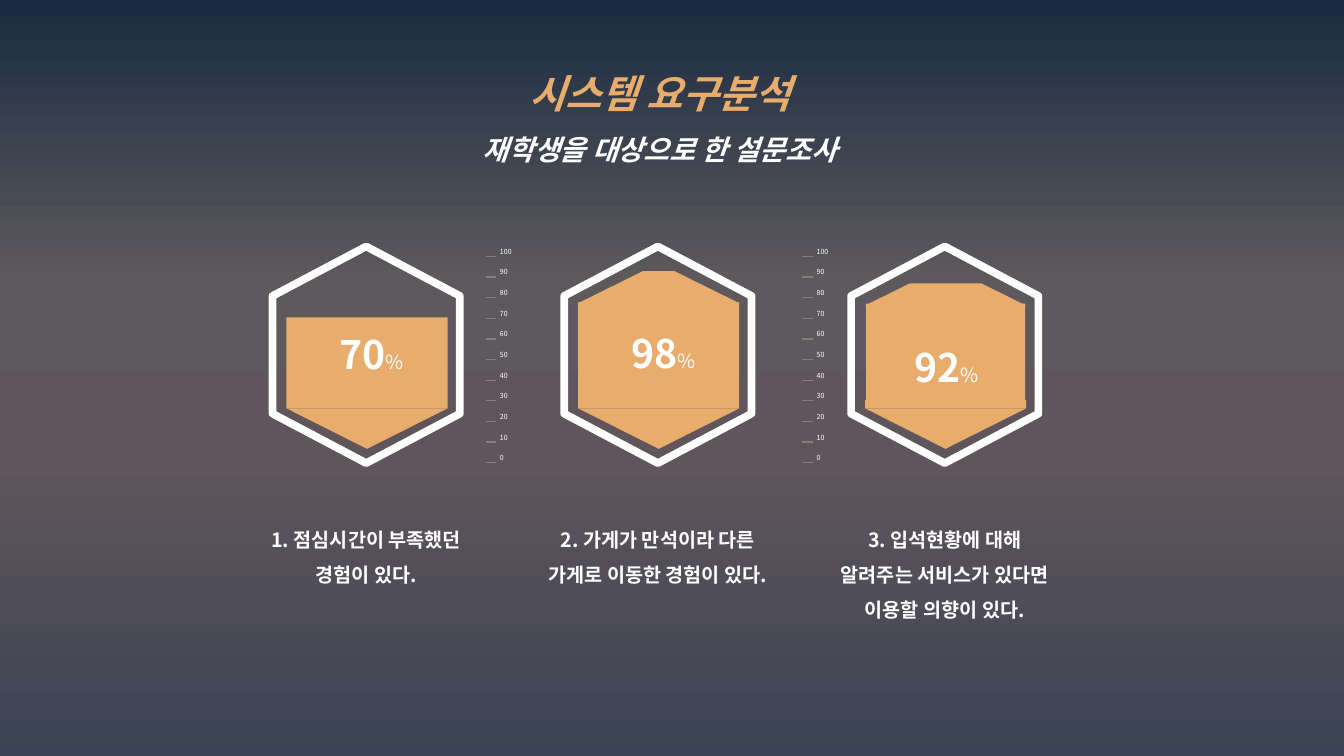
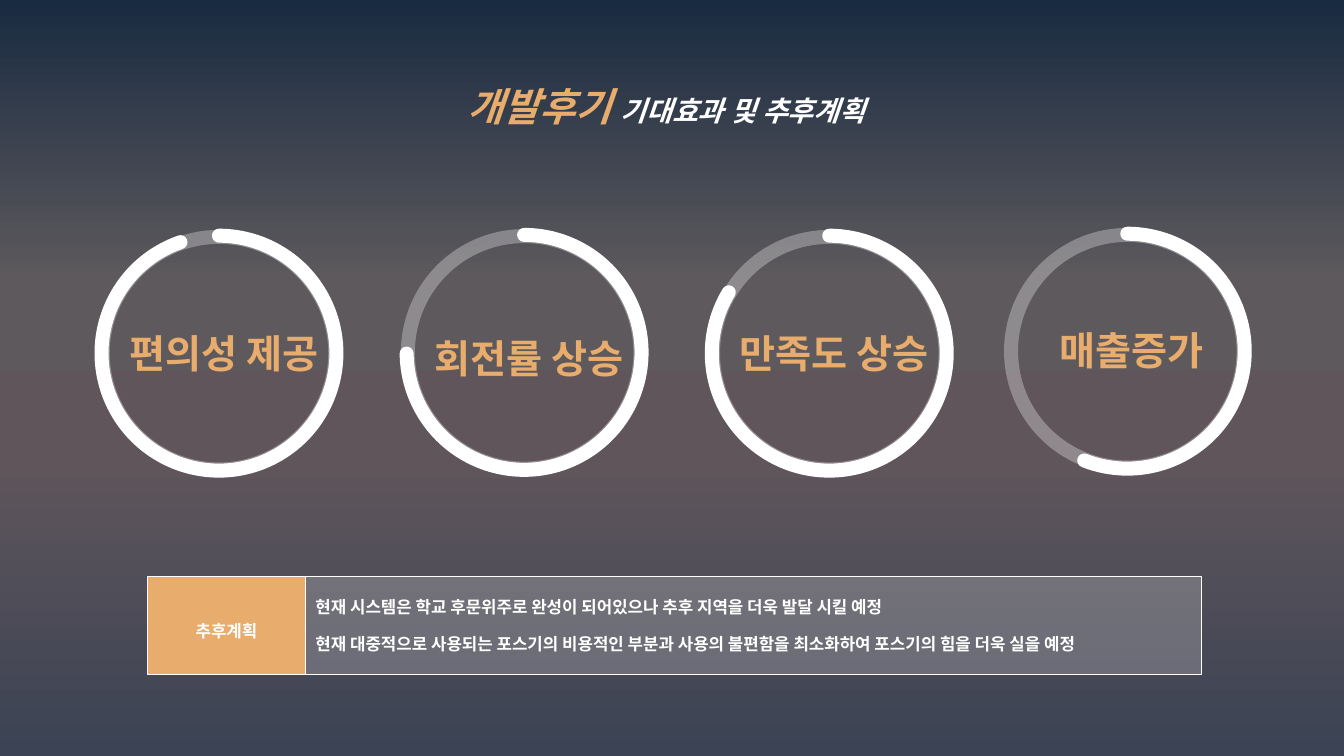
from lxml.etree import SubElement
from pptx import Presentation
from pptx.dml.color import RGBColor
from pptx.enum.shapes import MSO_SHAPE
from pptx.enum.text import MSO_ANCHOR, MSO_AUTO_SIZE, PP_ALIGN
from pptx.oxml.ns import qn
from pptx.util import Cm, Pt

FONT = "Noto Sans CJK KR"
ORANGE = "E8AC6C"
WHITE = "FFFFFF"
GREY = "808080"
BACKGROUND = [(0, "192B41"), (37, "5D595D"), (61, "5F555B"), (100, "3B4354")]
NO_TABLE_STYLE = "{2D5ABB26-0587-4C30-8999-92F81FD0307C}"


def write(text_frame, paragraphs, align=PP_ALIGN.CENTER, spacing=None, italic=False):
    text_frame.word_wrap = True
    for index, runs in enumerate(paragraphs):
        paragraph = text_frame.add_paragraph() if index else text_frame.paragraphs[0]
        paragraph.alignment = align
        paragraph.line_spacing = spacing
        for text, size, color, bold in runs:
            run = paragraph.add_run()
            run.text = text
            font = paragraph.font if len(runs) == 1 else run.font
            font.name = FONT
            font.size = Pt(size)
            font.bold = bold
            font.italic = italic
            font.color.rgb = RGBColor.from_string(color)
        for latin in list(paragraph._p.iter(qn("a:latin"))):
            east_asian = SubElement(latin.getparent(), qn("a:ea"), typeface=FONT)
            latin.addnext(east_asian)


def add_shape(slide, kind, center, top, width, height, fill=None, line=None, alpha=None):
    shape = slide.shapes.add_shape(kind, Cm(center - width / 2), Cm(top), Cm(width), Cm(height))
    shape.shadow.inherit = False
    if fill:
        shape.fill.solid()
        shape.fill.fore_color.rgb = RGBColor.from_string(fill)
    else:
        shape.fill.background()
    if line:
        shape.line.width = Pt(line)
        shape.line.color.rgb = RGBColor.from_string(WHITE)
        outline = shape.element.spPr.find(qn("a:ln"))
        outline.set("cap", "rnd")
        SubElement(outline, qn("a:round"))
    else:
        shape.line.fill.background()
    if alpha:
        color = shape.element.spPr.find(".//" + qn("a:srgbClr"))
        SubElement(color, qn("a:alpha"), val=str(alpha * 1000))
    return shape


presentation = Presentation()
presentation.slide_width = Cm(33.87)
presentation.slide_height = Cm(19.05)

master = presentation.slide_master
master.background.fill.gradient()
master.background.fill.gradient_angle = 270
stops = master.element.find(".//" + qn("a:gsLst"))
for stop in list(stops):
    stops.remove(stop)
for position, color in BACKGROUND:
    stop = SubElement(stops, qn("a:gs"), pos=str(position * 1000))
    SubElement(stop, qn("a:srgbClr"), val=color)

titles = [
    (8.97, 1.02, 3.33, [[("시스템 요구분석", 28, ORANGE, True)],
                        [("재학생을 대상으로 한 설문조사", 20, WHITE, True)]]),
    (9.14, 1.35, 2.06, [[("개발후기 ", 28, ORANGE, True),
                         ("기대효과 및 추후계획", 20, WHITE, True)]]),
]
for left, top, height, paragraphs in titles:
    slide = presentation.slides.add_slide(presentation.slide_layouts[6])
    title = slide.shapes.add_textbox(Cm(left), Cm(top), Cm(15.32), Cm(height))
    title.text_frame.auto_size = MSO_AUTO_SIZE.SHAPE_TO_FIT_TEXT
    write(title.text_frame, paragraphs, spacing=1.5, italic=True)

survey, outlook = presentation.slides

gauges = [
    (9.23, "70", 9.36, 8.2, "1. 점심시간이 부족했던 경험이 있다.",
     [(MSO_SHAPE.RECTANGLE, 8, 4.06, 2.29)]),
    (16.58, "98", 16.72, 8.18, "2. 가게가 만석이라 다른 가게로 이동한 경험이 있다.",
     [(MSO_SHAPE.RECTANGLE, 7.62, 4.06, 2.67), (MSO_SHAPE.TRAPEZOID, 6.83, 4.06, 0.81)]),
    (23.81, "92", 23.86, 8.53, "3. 입석현황에 대해 알려주는 서비스가 있다면 이용할 의향이 있다.",
     [(MSO_SHAPE.RECTANGLE, 7.65, 4.01, 2.51), (MSO_SHAPE.RECTANGLE, 10.08, 4.06, 0.21),
      (MSO_SHAPE.TRAPEZOID, 7.14, 4.06, 0.56)]),
]
for center, number, number_center, number_top, caption, parts in gauges:
    hexagon = add_shape(survey, MSO_SHAPE.HEXAGON, center, 7.39 - 0.45 + 2, 5.46, 4.72 - 0, line=5.5)
    hexagon.top = Cm(6.58)
    hexagon.rotation = 270
    hexagon.adjustments[0] = 0.264
    for kind, top, width, height in parts:
        part = add_shape(survey, kind, center + 0.02, top, width, height, ORANGE)
        if kind == MSO_SHAPE.TRAPEZOID:
            part.adjustments[0] = 2.02
    tip = add_shape(survey, MSO_SHAPE.ISOSCELES_TRIANGLE, center + 0.02, 10.29, 4.06, 1.02, ORANGE)
    tip.rotation = 180
    texts = [
        (number_center, number_top, 4.06, 1.45, None,
         [(number, 28, WHITE, True), ("%", 14, WHITE, False)]),
        (center, 12.88, 6.17, 2.95, 1.5, [(caption, 14, WHITE, True)]),
    ]
    for text_center, top, width, height, spacing, runs in texts:
        box = survey.shapes.add_textbox(Cm(text_center - width / 2), Cm(top), Cm(width), Cm(height))
        write(box.text_frame, [runs], spacing=spacing)

for left in (12.24, 20.22):
    frame = survey.shapes.add_table(11, 2, Cm(left), Cm(5.94), Cm(0.78), Cm(5.72))
    scale = frame.table
    scale.first_row = False
    scale.horz_banding = False
    frame.element.find(".//" + qn("a:tableStyleId")).text = NO_TABLE_STYLE
    scale.columns[0].width = Cm(0.26)
    scale.columns[1].width = Cm(0.52)
    for index, row in enumerate(scale.rows):
        row.height = Cm(0.52)
        tick, label = row.cells
        for cell in row.cells:
            cell.margin_left = cell.margin_right = cell.margin_top = cell.margin_bottom = 0
            cell.vertical_anchor = MSO_ANCHOR.BOTTOM
        label.margin_left = Cm(0.1)
        write(label.text_frame, [[(str(100 - index * 10), 5, WHITE, False)]], PP_ALIGN.LEFT)
        SubElement(tick.text_frame.paragraphs[0]._p, qn("a:endParaRPr"), sz="500")
        for side in ("a:lnT", "a:lnB") if index else ("a:lnB",):
            border = SubElement(tick._tc.get_or_add_tcPr(), qn(side), w=str(Pt(1)))
            border_fill = SubElement(border, qn("a:solidFill"))
            SubElement(border_fill, qn("a:srgbClr"), val=GREY)
        for cell in row.cells:
            cell.fill.background()

effects = [
    ("편의성 제공", 5.52, 8.9, 250.9, 8.18),
    ("회전률 상승", 13.21, 8.88, 179.4, 8.31),
    ("만족도 상승", 20.9, 8.9, 211.2, 8.18),
    ("매출증가", 28.41, 8.85, 111.5, 8.1),
]
for label, center, middle, end_angle, label_top in effects:
    add_shape(outlook, MSO_SHAPE.OVAL, center, middle - 2.93, 5.86, 5.86, line=10, alpha=30)
    arc = add_shape(outlook, MSO_SHAPE.ARC, center, middle - 2.96, 5.92, 5.92, line=10)
    arc.adjustments[0] = 270 * 0.6
    arc.adjustments[1] = end_angle * 0.6
    box = outlook.shapes.add_textbox(Cm(center - 3.3), Cm(label_top), Cm(6.83), Cm(1.45))
    write(box.text_frame, [[(label, 28, ORANGE, True)]])

plan = add_shape(outlook, MSO_SHAPE.RECTANGLE, 18.99, 14.53, 22.58, 2.46, WHITE, 0.75, 20)
plan_lines = [
    "현재 시스템은 학교 후문위주로 완성이 되어있으나 추후 지역을 더욱 발달 시킬 예정",
    "현재 대중적으로 사용되는 포스기의 비용적인 부분과 사용의 불편함을 최소화하여 포스기의 힘을 더욱 실을 예정",
]
write(plan.text_frame, [[(line, 12, WHITE, True)] for line in plan_lines], PP_ALIGN.LEFT)
plan.text_frame.paragraphs[1].space_before = Pt(12)
heading = add_shape(outlook, MSO_SHAPE.RECTANGLE, 5.71, 14.53, 3.96, 2.46, ORANGE, 0.75)
write(heading.text_frame, [[("추후계획", 12, WHITE, True)]], spacing=1.5)

presentation.save("out.pptx")
